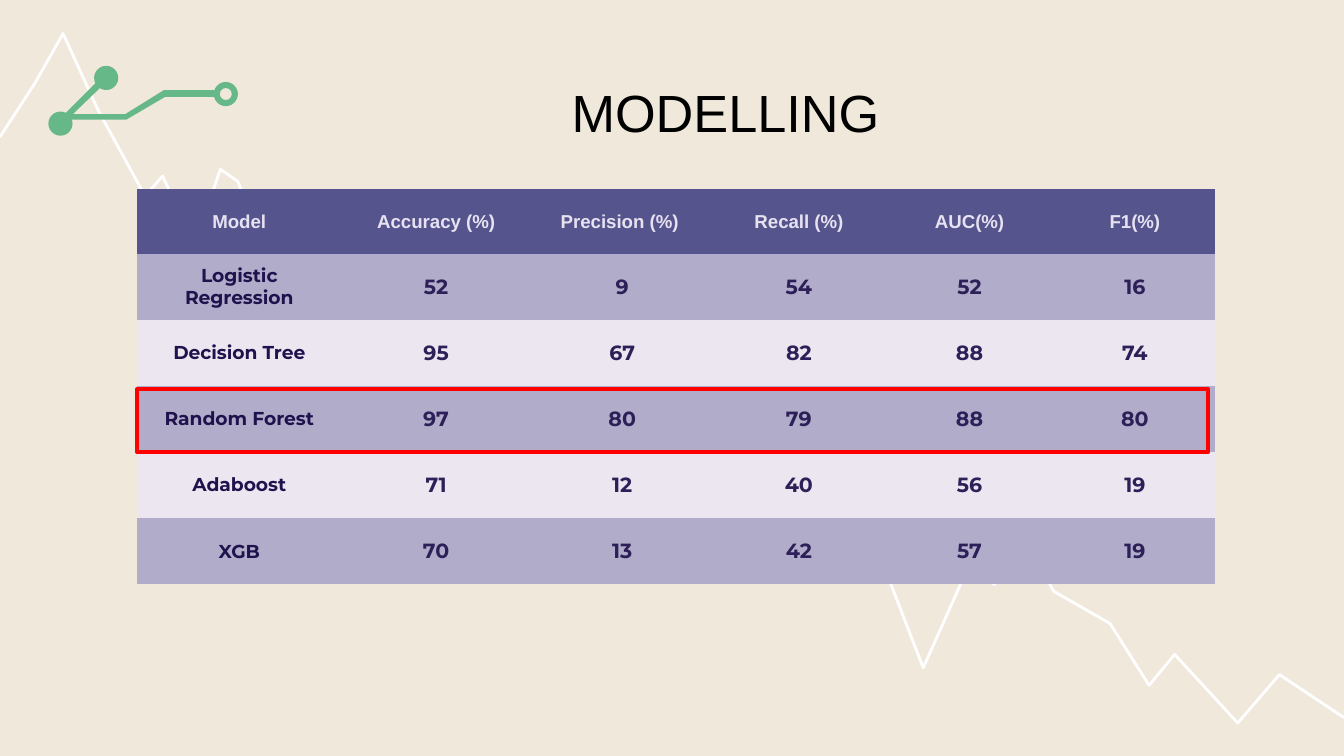
from lxml import etree
from pptx import Presentation
from pptx.dml.color import RGBColor
from pptx.enum.shapes import MSO_SHAPE
from pptx.enum.text import MSO_ANCHOR, PP_ALIGN
from pptx.oxml.ns import qn
from pptx.util import Inches, Pt

OVAL, DONUT, RECT = MSO_SHAPE.OVAL, MSO_SHAPE.DONUT, MSO_SHAPE.RECTANGLE
CENTER, RIGHT, MIDDLE = PP_ALIGN.CENTER, PP_ALIGN.RIGHT, MSO_ANCHOR.MIDDLE
PLAIN_TABLE_STYLE = "{2D5ABB26-0587-4C30-8999-92F81FD0307C}"

COLORS = {
    "background": "F1E8DC", "trend": "FFFFFF", "circuit": "66B888",
    "header": "56548C", "dark_row": "B0ACC9", "light_row": "ECE6F1",
    "header_text": "E7E2F2", "model_text": "20124D", "value_text": "2D2058",
    "title": "000000", "highlight": "FF0000",
}
TITLE = "MODELLING"
RESULTS = [
    ("Model", "Accuracy (%)", "Precision (%) ", "Recall (%)", "AUC(%)", "F1(%)"),
    ("Logistic Regression", 52, 9, 54, 52, 16),
    ("Decision Tree", 95, 67, 82, 88, 74),
    ("Random Forest", 97, 80, 79, 88, 80),
    ("Adaboost", 71, 12, 40, 56, 19),
    ("XGB", 70, 13, 42, 57, 19),
]
HIGHLIGHT_ROW = 3
TREND = [
    (0, 1.02), (0.26, 0.62), (0.47, 0.25), (0.73, 0.82), (1.08, 1.46),
    (1.21, 1.31), (1.45, 1.82), (1.64, 1.26), (1.77, 1.35), (1.99, 1.91),
    (2.3, 2.26), (2.46, 2.9), (2.99, 3.25), (3.23, 4.19), (3.4, 4.06),
    (3.6, 3.6), (4.13, 2.97), (4.43, 3.43), (4.63, 3.21), (4.83, 3.31),
    (5.28, 2.86), (5.49, 2.98), (5.66, 2.7), (5.99, 3.24), (6.23, 3.08),
    (6.47, 3.28), (6.63, 4.35), (6.87, 4.97), (7.2, 4.23), (7.4, 4.35),
    (7.56, 3.86), (7.84, 4.4), (8.26, 4.64), (8.55, 5.1), (8.74, 4.87),
    (9.21, 5.38), (9.52, 5.02), (10, 5.34),
]
CIRCUIT_BARS = [
    [(0.5, 0.89), (0.5, 0.85), (0.93, 0.85), (1.22, 0.67), (1.62, 0.67),
     (1.62, 0.72), (1.23, 0.72), (0.94, 0.89)],
    [(0.73, 0.6), (0.47, 0.86), (0.5, 0.89), (0.77, 0.63)],
]
CIRCUIT_NODES = [(DONUT, 1.68, 0.7), (OVAL, 0.79, 0.58), (OVAL, 0.45, 0.92)]
NODE_SIZE = 0.18

LEFT, TOP = 1.02, 1.41
COL_WIDTHS = [1.52, 1.41, 1.36, 1.27, 1.27, 1.19]
TABLE_H, HEADER_H = 2.94, 0.48
ROW_H = (TABLE_H - HEADER_H) / (len(RESULTS) - 1)
WIDE_MARGINS, NARROW_MARGINS = (0.07, 0.04), (0.02, 0.01)
HEADER_FORMAT = {"size": Pt(10), "name": "Arial", "bold": True}
MODEL_FORMAT = {"size": Pt(10), "name": "Montserrat", "bold": True}
VALUE_FORMAT = {"size": Pt(11), "name": "Montserrat", "bold": True}


def rgb(name):
    return RGBColor.from_string(COLORS[name])


def paint(sp, fill=None, line=None, width=0):
    sp.shadow.inherit = False
    if fill:
        sp.fill.solid()
        sp.fill.fore_color.rgb = rgb(fill)
    else:
        sp.fill.background()
    if line:
        sp.line.color.rgb = rgb(line)
        sp.line.width = Pt(width)
        etree.SubElement(sp.line._get_or_add_ln(), qn("a:round"))
    else:
        sp.line.fill.background()


def outline(shapes, points, close):
    """Draw a path through points given in inches."""
    path_points = [(Inches(x), Inches(y)) for x, y in points]
    builder = shapes.build_freeform(*path_points[0])
    builder.add_line_segments(path_points[1:], close=close)
    return builder.convert_to_shape()


def write(tf, text, align, color, fmt):
    p = tf.paragraphs[0]
    p.alignment = align
    r = p.add_run()
    r.text = str(text)
    r.font.color.rgb = rgb(color)
    for key, value in fmt.items():
        setattr(r.font, key, value)


def cell_style(row, col):
    """Return fill, text colour, font format and margins of a table cell."""
    if row == 0:
        return "header", "header_text", HEADER_FORMAT, WIDE_MARGINS
    fill = "dark_row" if row % 2 else "light_row"
    if col == 0:
        return fill, "model_text", MODEL_FORMAT, WIDE_MARGINS
    return fill, "value_text", VALUE_FORMAT, NARROW_MARGINS


def add_results(shapes):
    heights = [HEADER_H] + [ROW_H] * (len(RESULTS) - 1)
    table = shapes.add_table(
        len(RESULTS), len(COL_WIDTHS), Inches(LEFT), Inches(TOP),
        Inches(sum(COL_WIDTHS)), Inches(TABLE_H)).table
    table._tbl.tblPr.find(qn("a:tableStyleId")).text = PLAIN_TABLE_STYLE
    for column, width in zip(table.columns, COL_WIDTHS):
        column.width = Inches(width)
    for row, height in zip(table.rows, heights):
        row.height = Inches(height)
    for i, values in enumerate(RESULTS):
        for j, value in enumerate(values):
            cell = table.cell(i, j)
            fill, color, fmt, (side, end) = cell_style(i, j)
            cell.fill.solid()
            cell.fill.fore_color.rgb = rgb(fill)
            cell.vertical_anchor = MIDDLE
            cell.margin_left = cell.margin_right = Inches(side)
            cell.margin_top = cell.margin_bottom = Inches(end)
            write(cell.text_frame, value, CENTER, color, fmt)


def main():
    prs = Presentation()
    prs.slide_width = Inches(10)
    prs.slide_height = prs.slide_width * 9 // 16
    slide = prs.slides.add_slide(prs.slide_layouts[6])
    shapes = slide.shapes
    slide.background.fill.solid()
    slide.background.fill.fore_color.rgb = rgb("background")

    paint(outline(shapes, TREND, False), line="trend", width=1.5)
    for points in CIRCUIT_BARS:
        paint(outline(shapes, points, True), fill="circuit")
    for kind, x, y in CIRCUIT_NODES:
        sp = shapes.add_shape(kind, Inches(x - NODE_SIZE / 2), Inches(y - NODE_SIZE / 2),
                              Inches(NODE_SIZE), Inches(NODE_SIZE))
        paint(sp, fill="circuit")

    add_results(shapes)

    title = shapes.add_textbox(Inches(1.48), Inches(0.55), Inches(5.16), Inches(0.57))
    title.text_frame.word_wrap = True
    write(title.text_frame, TITLE, RIGHT, "title", {"size": Pt(28), "name": "Arial"})

    row_top = TOP + HEADER_H + (HIGHLIGHT_ROW - 1) * ROW_H
    frame = shapes.add_shape(RECT, Inches(LEFT), Inches(row_top + 0.02),
                             Inches(sum(COL_WIDTHS) - 0.05), Inches(ROW_H - 0.02))
    paint(frame, line="highlight", width=2)
    prs.save("out.pptx")


if __name__ == "__main__":
    main()
